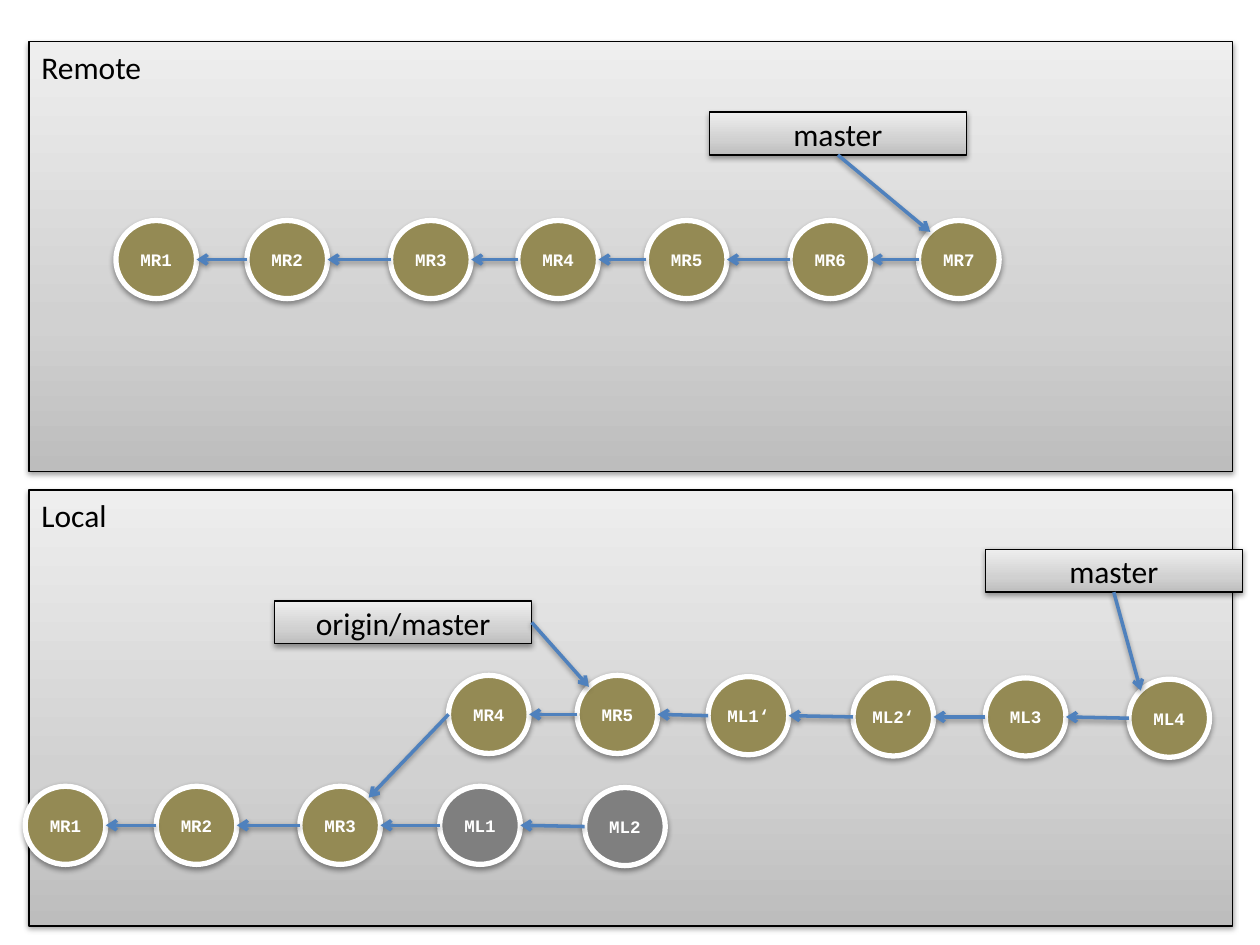
import math

import pptx
import pptx.dml.color
import pptx.enum.shapes
import pptx.enum.text
import pptx.oxml.ns
import pptx.util
from copy import deepcopy
from lxml import etree

COLS, ROWS = 100, 75
SHAPE = pptx.enum.shapes.MSO_SHAPE
ALIGN = pptx.enum.text.PP_ALIGN
ANCHOR = pptx.enum.text.MSO_ANCHOR
# Connection sites in counter-clockwise order, 45 degrees apart
SIDES = ["top", "top_left", "left", "bottom_left",
         "bottom", "bottom_right", "right", "top_right"]


def rgb(value):
    """Turn a hex string into a colour."""
    return pptx.dml.color.RGBColor.from_string(value)


def add_node(parent, tag, **attrs):
    """Append an XML element with a prefixed tag."""
    return etree.SubElement(parent, pptx.oxml.ns.qn(tag), attrs)


class Diagram:
    """Style and current slide of a commit diagram."""

    gradient = [(0, "BDBDBD"), (0.35, "D1D1D1"), (1, "EEEEEE")]
    ink, light, arrow_color = "000000", "FFFFFF", "4F81BD"
    active, dropped = "948A54", "7F7F7F"
    label_font, commit_font = "Calibri", "Courier New"
    commit_size = (6.4, 6.2)
    label_size = (20.4, 3.4)

    def __init__(self, prs):
        """Add a blank slide and work out the grid units."""
        self.slide = prs.slides.add_slide(prs.slide_layouts[6])
        self.col = prs.slide_width / COLS
        self.row = prs.slide_height / ROWS

    def shadow(self, sp):
        """Give a shape or connector the soft shadow below it."""
        effects = add_node(sp._element.spPr, "a:effectLst")
        outer = add_node(effects, "a:outerShdw", blurRad="40000", dist="20000",
                         dir="5400000", rotWithShape="0")
        color = add_node(outer, "a:srgbClr", val=self.ink)
        add_node(color, "a:alpha", val="38000")

    def shape(self, kind, left, top, size, line, width):
        """Add an outlined preset shape."""
        sp = self.slide.shapes.add_shape(
            kind, round(left * self.col), round(top * self.row),
            round(size[0] * self.col), round(size[1] * self.row))
        sp.line.color.rgb = rgb(line)
        sp.line.width = pptx.util.Pt(width)
        return sp

    def text(self, sp, text, font, size, color, align, anchor, bold=False):
        """Write one run of text into a shape."""
        tf = sp.text_frame
        tf.word_wrap = True
        tf.vertical_anchor = anchor
        p = tf.paragraphs[0]
        p.alignment = align
        r = p.add_run()
        r.text = text
        r.font.name = font
        r.font.size = pptx.util.Pt(size)
        r.font.bold = bold
        r.font.color.rgb = rgb(color)

    def box(self, text, left, top, size, align, anchor):
        """Add a grey gradient box with text."""
        sp = self.shape(SHAPE.RECTANGLE, left, top, size, self.ink, 0.75)
        sp.fill.gradient()
        sp.fill.gradient_angle = 90
        stops = sp._element.spPr.find(".//" + pptx.oxml.ns.qn("a:gsLst"))
        stops.insert(1, deepcopy(stops[0]))
        for stop, (position, color) in zip(sp.fill.gradient_stops, self.gradient):
            stop.position = position
            stop.color.rgb = rgb(color)
        self.shadow(sp)
        self.text(sp, text, self.label_font, 18, self.ink, align, anchor)
        return sp

    def panel(self, text, top, height):
        """Add a repository panel titled at its top left."""
        return self.box(text, 2.3, top, (95.5, height), ALIGN.LEFT, ANCHOR.TOP)

    def branch(self, text, left, top):
        """Add a branch label."""
        return self.box(text, left, top, self.label_size,
                        ALIGN.CENTER, ANCHOR.MIDDLE)

    def commit(self, text, left, top, fill):
        """Add a commit circle."""
        sp = self.shape(SHAPE.OVAL, left, top, self.commit_size, self.light, 3)
        sp.fill.solid()
        sp.fill.fore_color.rgb = rgb(fill)
        self.shadow(sp)
        tf = sp.text_frame
        tf.margin_left = tf.margin_right = tf.margin_top = tf.margin_bottom = 0
        self.text(sp, text, self.commit_font, 10, self.light,
                  ALIGN.CENTER, ANCHOR.MIDDLE, bold=True)
        return sp

    def site(self, sp, side):
        """Return the point and connection index of a side of a shape."""
        index = SIDES.index(side)
        angle = math.radians(90 + 45 * index)
        x = sp.left + sp.width * (1 + math.cos(angle)) / 2
        y = sp.top + sp.height * (1 - math.sin(angle)) / 2
        if sp.auto_shape_type == SHAPE.RECTANGLE:
            index //= 2
        return round(x), round(y), index

    def arrow(self, start, start_side, end, end_side):
        """Join two shapes with an arrow glued at both ends."""
        x1, y1, first = self.site(start, start_side)
        x2, y2, last = self.site(end, end_side)
        cxn = self.slide.shapes.add_connector(
            pptx.enum.shapes.MSO_CONNECTOR.STRAIGHT, x1, y1, x2, y2)
        cxn.line.color.rgb = rgb(self.arrow_color)
        cxn.line.width = pptx.util.Pt(2)
        add_node(cxn.line._get_or_add_ln(), "a:tailEnd", type="arrow")
        self.shadow(cxn)
        glue = cxn._element.find(".//" + pptx.oxml.ns.qn("p:cNvCxnSpPr"))
        add_node(glue, "a:stCxn", id=str(start.shape_id), idx=str(first))
        add_node(glue, "a:endCxn", id=str(end.shape_id), idx=str(last))

    def chain(self, commits):
        """Add commits in a row, each pointing to its parent on the left."""
        nodes = [self.commit(*commit) for commit in commits]
        for parent, child in zip(nodes, nodes[1:]):
            self.arrow(child, "left", parent, "right")
        return nodes


prs = pptx.Presentation()
prs.slide_width = pptx.util.Inches(10)
prs.slide_height = pptx.util.Inches(7.5)
d = Diagram(prs)

d.panel("Remote", 3.3, 34.1)
d.panel("Local", 38.9, 34.6)

remote_lefts = [9.2, 19.6, 31, 41.1, 51.3, 62.7, 72.9]
remote = d.chain([(f"MR{i}", left, 17.5, d.active)
                  for i, left in enumerate(remote_lefts, 1)])
remote_master = d.branch("master", 56.3, 8.9)
d.arrow(remote_master, "bottom", remote[-1], "top_left")

old = d.chain([("MR1", 2, 62.4, d.active), ("MR2", 12.4, 62.4, d.active),
               ("MR3", 23.8, 62.4, d.active), ("ML1", 34.9, 62.4, d.dropped),
               ("ML2", 46.4, 62.5, d.dropped)])
rebased = d.chain([("MR4", 35.6, 53.6, d.active), ("MR5", 45.8, 53.6, d.active),
                   ("ML1‘", 56.2, 53.7, d.active), ("ML2‘", 67.7, 53.8, d.active),
                   ("ML3", 78.2, 53.8, d.active), ("ML4", 89.6, 53.9, d.active)])
d.arrow(rebased[0], "left", old[2], "top_right")

origin_master = d.branch("origin/master", 21.8, 47.7)
d.arrow(origin_master, "right", rebased[1], "top_left")
local_master = d.branch("master", 78.2, 43.6)
d.arrow(local_master, "bottom", rebased[-1], "top_left")

prs.save("out.pptx")
